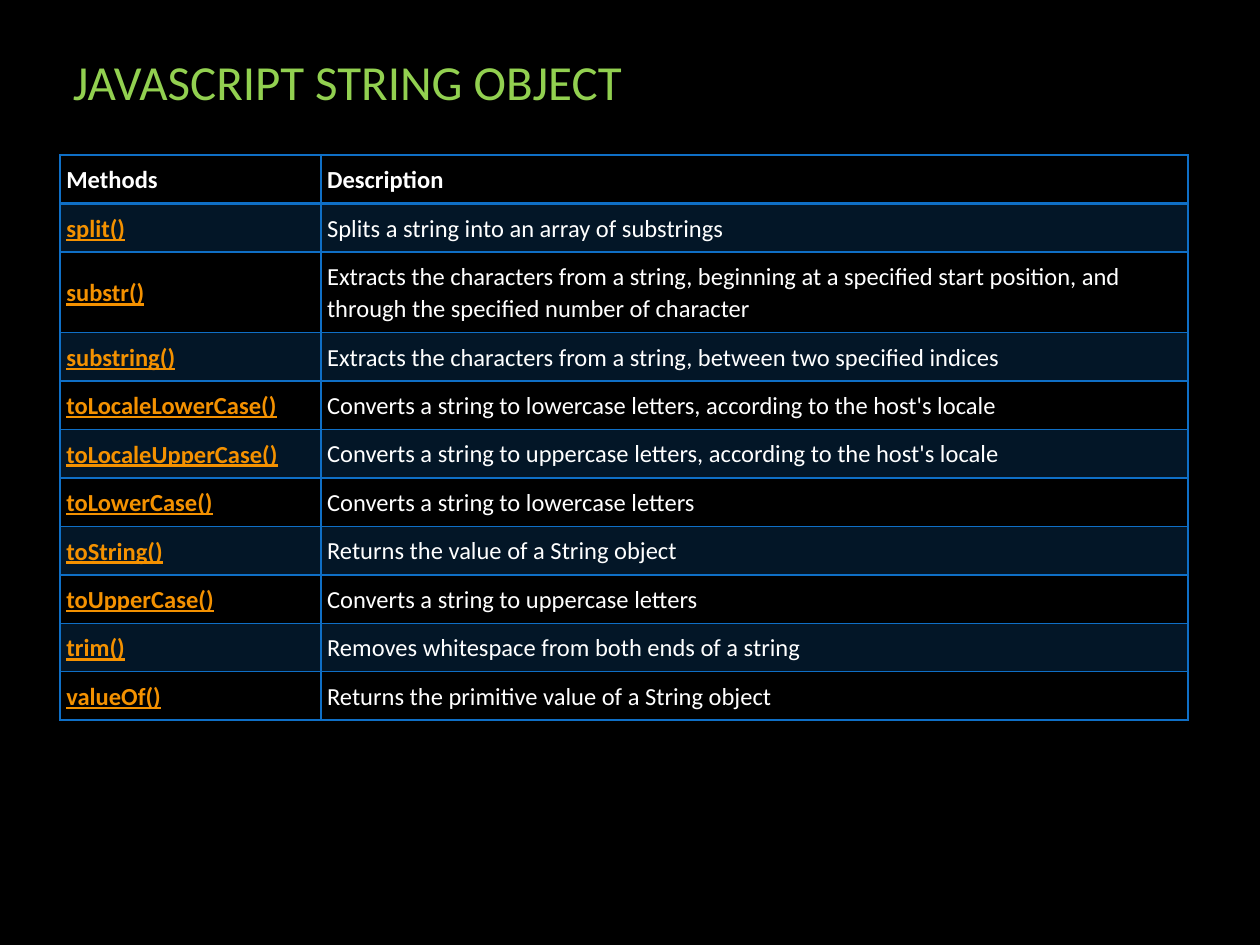
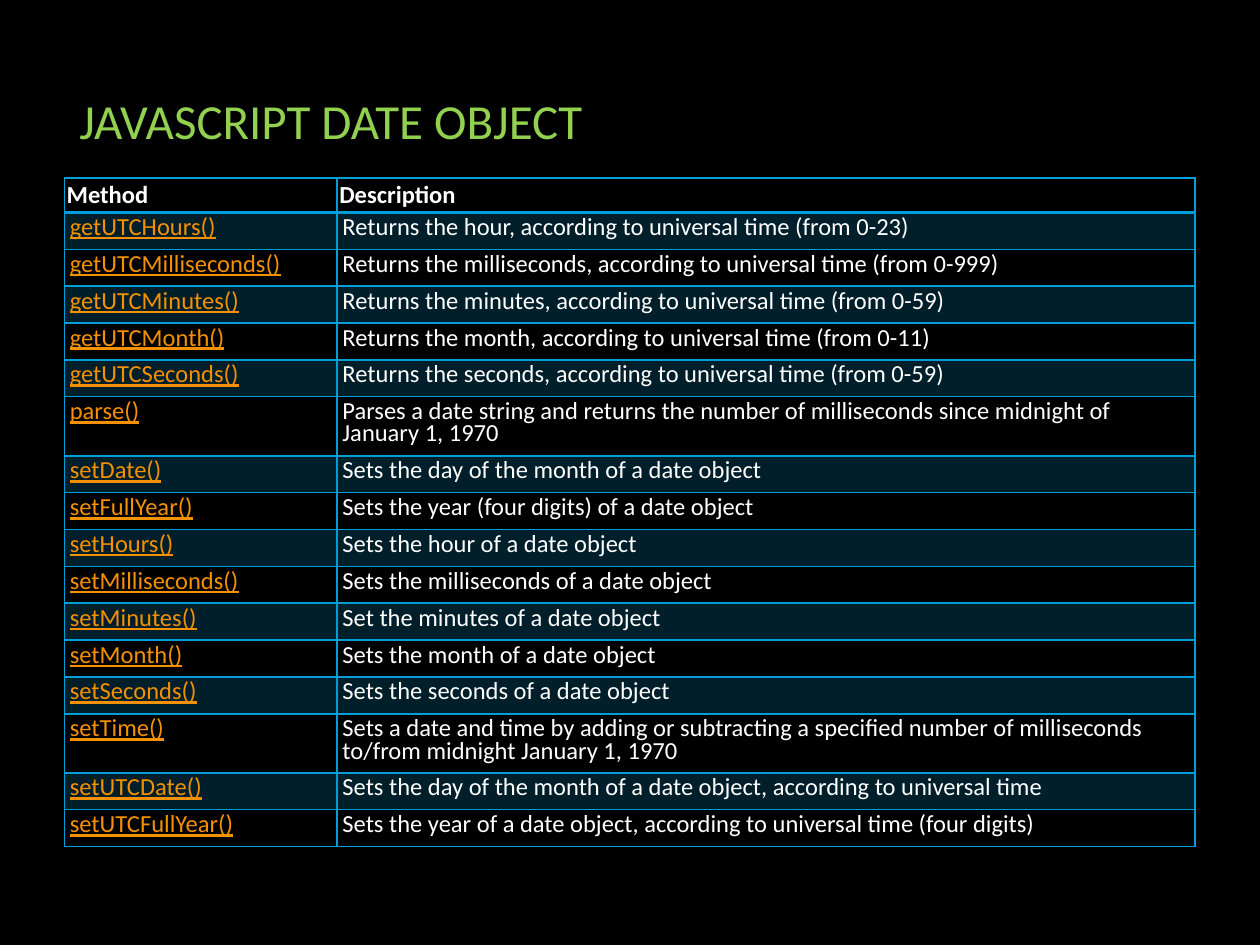
from dataclasses import dataclass

import lxml.etree
import pptx
import pptx.dml.color
import pptx.enum.text
import pptx.oxml.ns
import pptx.util

Pt = pptx.util.Pt
MIDDLE = pptx.enum.text.MSO_ANCHOR.MIDDLE
TOP = pptx.enum.text.MSO_ANCHOR.TOP

FONT = "Calibri"
BLACK, WHITE, GREEN, ORANGE = "000000", "FFFFFF", "92D050", "F49100"
TITLE_W, TITLE_H = 644.4, 51.1
BAND_ALPHA = 20


@dataclass(frozen=True)
class Method:
    name: str
    text: str
    lines: int = 1


@dataclass(frozen=True)
class CellStyle:
    inset_x: float
    inset_y: float
    line_height: float
    spacing: float | pptx.util.Length | None = None
    after: float = 0

    def height(self, lines: int = 1) -> float:
        return 2 * self.inset_y + lines * self.line_height


@dataclass(frozen=True)
class MethodSlide:
    title: str
    title_at: tuple[float, float]
    table_at: tuple[float, float]
    columns: tuple[float, float]
    accent: str
    headings: tuple[str, str]
    head: CellStyle
    body: CellStyle
    name_bold: bool
    name_anchor: pptx.enum.text.MSO_ANCHOR
    methods: list[Method]


STRING_CELL = CellStyle(3.5, 4.7, 18.3, spacing=1.07, after=8)

SLIDES = [
    MethodSlide(
        title="JAVASCRIPT STRING OBJECT",
        title_at=(34.6, 20.9),
        table_at=(34.4, 88.6),
        columns=(149, 495.4),
        accent="0F6FC6",
        headings=("Methods", "Description"),
        head=STRING_CELL,
        body=STRING_CELL,
        name_bold=True,
        name_anchor=MIDDLE,
        methods=[
            Method("split()", "Splits a string into an array of substrings"),
            Method("substr()", "Extracts the characters from a string, beginning at a specified "
                   "start position, and through the specified number of character", 2),
            Method("substring()", "Extracts the characters from a string, between two specified indices"),
            Method("toLocaleLowerCase()",
                   "Converts a string to lowercase letters, according to the host's locale"),
            Method("toLocaleUpperCase()",
                   "Converts a string to uppercase letters, according to the host's locale"),
            Method("toLowerCase()", "Converts a string to lowercase letters"),
            Method("toString()", "Returns the value of a String object"),
            Method("toUpperCase()", "Converts a string to uppercase letters"),
            Method("trim()", "Removes whitespace from both ends of a string"),
            Method("valueOf()", "Returns the primitive value of a String object"),
        ],
    ),
    MethodSlide(
        title="JAVASCRIPT DATE OBJECT",
        title_at=(38.2, 43.2),
        table_at=(36.8, 101.7),
        columns=(155.8, 490.4),
        accent="009DD9",
        headings=("Method", "Description"),
        head=CellStyle(1.3, 1.3, 17.1),
        body=CellStyle(3.1, 4.17, 12.7, spacing=Pt(12.7)),
        name_bold=False,
        name_anchor=TOP,
        methods=[
            Method("getUTCHours()", "Returns the hour, according to universal time (from 0-23)"),
            Method("getUTCMilliseconds()",
                   "Returns the milliseconds, according to universal time (from 0-999)"),
            Method("getUTCMinutes()", "Returns the minutes, according to universal time (from 0-59)"),
            Method("getUTCMonth()", "Returns the month, according to universal time (from 0-11)"),
            Method("getUTCSeconds()", "Returns the seconds, according to universal time (from 0-59)"),
            Method("parse()", "Parses a date string and returns the number of milliseconds "
                   "since midnight of January 1, 1970", 2),
            Method("setDate()", "Sets the day of the month of a date object"),
            Method("setFullYear()", "Sets the year (four digits) of a date object"),
            Method("setHours()", "Sets the hour of a date object"),
            Method("setMilliseconds()", "Sets the milliseconds of a date object"),
            Method("setMinutes()", "Set the minutes of a date object"),
            Method("setMonth()", "Sets the month of a date object"),
            Method("setSeconds()", "Sets the seconds of a date object"),
            Method("setTime()", "Sets a date and time by adding or subtracting a specified number "
                   "of milliseconds to/from midnight January 1, 1970", 2),
            Method("setUTCDate()",
                   "Sets the day of the month of a date object, according to universal time"),
            Method("setUTCFullYear()",
                   "Sets the year of a date object, according to universal time (four digits)"),
        ],
    ),
]


def rgb(color: str) -> pptx.dml.color.RGBColor:
    return pptx.dml.color.RGBColor.from_string(color)


def write(tf, text: str, *, size: float = 14, color: str = WHITE, bold: bool = False,
          underline: bool = False, spacing=None, after: float = 0) -> None:
    p = tf.paragraphs[0]
    p.line_spacing = spacing
    p.space_after = Pt(after)
    r = p.add_run()
    r.text = text
    r.font.name = FONT
    r.font.size = Pt(size)
    r.font.bold = bold
    r.font.underline = underline
    r.font.color.rgb = rgb(color)


def add_title(s, text: str, at: tuple[float, float]) -> None:
    sp = s.shapes.add_textbox(Pt(at[0]), Pt(at[1]), Pt(TITLE_W), Pt(TITLE_H))
    tf = sp.text_frame
    tf.word_wrap = True
    tf.vertical_anchor = MIDDLE
    write(tf, text, size=28, color=GREEN)


def set_borders(cell, color: str, top: float, bottom: float) -> None:
    """Draw all four sides; left and right are 1 pt wide."""
    qn = pptx.oxml.ns.qn
    tc_pr = cell._tc.get_or_add_tcPr()
    for side, width in (("L", 1), ("R", 1), ("T", top), ("B", bottom)):
        ln = lxml.etree.SubElement(tc_pr, qn(f"a:ln{side}"), w=str(Pt(width)))
        fill = lxml.etree.SubElement(ln, qn("a:solidFill"))
        lxml.etree.SubElement(fill, qn("a:srgbClr"), val=color)


def set_fill(cell, color: str | None) -> None:
    """Tint the cell with a translucent colour, or leave it clear."""
    if color is None:
        cell.fill.background()
        return
    cell.fill.solid()
    cell.fill.fore_color.rgb = rgb(color)
    qn = pptx.oxml.ns.qn
    clr = cell._tc.tcPr.find(f"{qn('a:solidFill')}/{qn('a:srgbClr')}")
    lxml.etree.SubElement(clr, qn("a:alpha"), val=str(BAND_ALPHA * 1000))


def fill_cell(cell, text: str, style: CellStyle, anchor=MIDDLE, **fmt) -> None:
    cell.margin_left = cell.margin_right = Pt(style.inset_x)
    cell.margin_top = cell.margin_bottom = Pt(style.inset_y)
    cell.vertical_anchor = anchor
    write(cell.text_frame, text, spacing=style.spacing, after=style.after, **fmt)


def add_method_table(s, spec: MethodSlide) -> None:
    heights = [spec.head.height()] + [spec.body.height(m.lines) for m in spec.methods]
    frame = s.shapes.add_table(len(heights), len(spec.columns), *map(Pt, spec.table_at),
                               Pt(sum(spec.columns)), Pt(sum(heights)))
    table = frame.table
    table.first_row = table.horz_banding = False
    for column, width in zip(table.columns, spec.columns):
        column.width = Pt(width)
    for i, (row, height) in enumerate(zip(table.rows, heights)):
        row.height = Pt(height)
        for cell in row.cells:
            set_borders(cell, spec.accent, top=2 if i == 1 else 1, bottom=2 if i == 0 else 1)
            set_fill(cell, spec.accent if i % 2 else None)

    for col, heading in enumerate(spec.headings):
        fill_cell(table.cell(0, col), heading, spec.head, bold=True)
    for i, method in enumerate(spec.methods, start=1):
        fill_cell(table.cell(i, 0), method.name, spec.body, spec.name_anchor,
                  color=ORANGE, bold=spec.name_bold, underline=True)
        fill_cell(table.cell(i, 1), method.text, spec.body, TOP)


def main() -> None:
    prs = pptx.Presentation()
    prs.slide_width, prs.slide_height = Pt(720), Pt(540)
    for spec in SLIDES:
        s = prs.slides.add_slide(prs.slide_layouts[6])
        s.background.fill.solid()
        s.background.fill.fore_color.rgb = rgb(BLACK)
        add_title(s, spec.title, spec.title_at)
        add_method_table(s, spec)
    prs.save("out.pptx")


if __name__ == "__main__":
    main()
